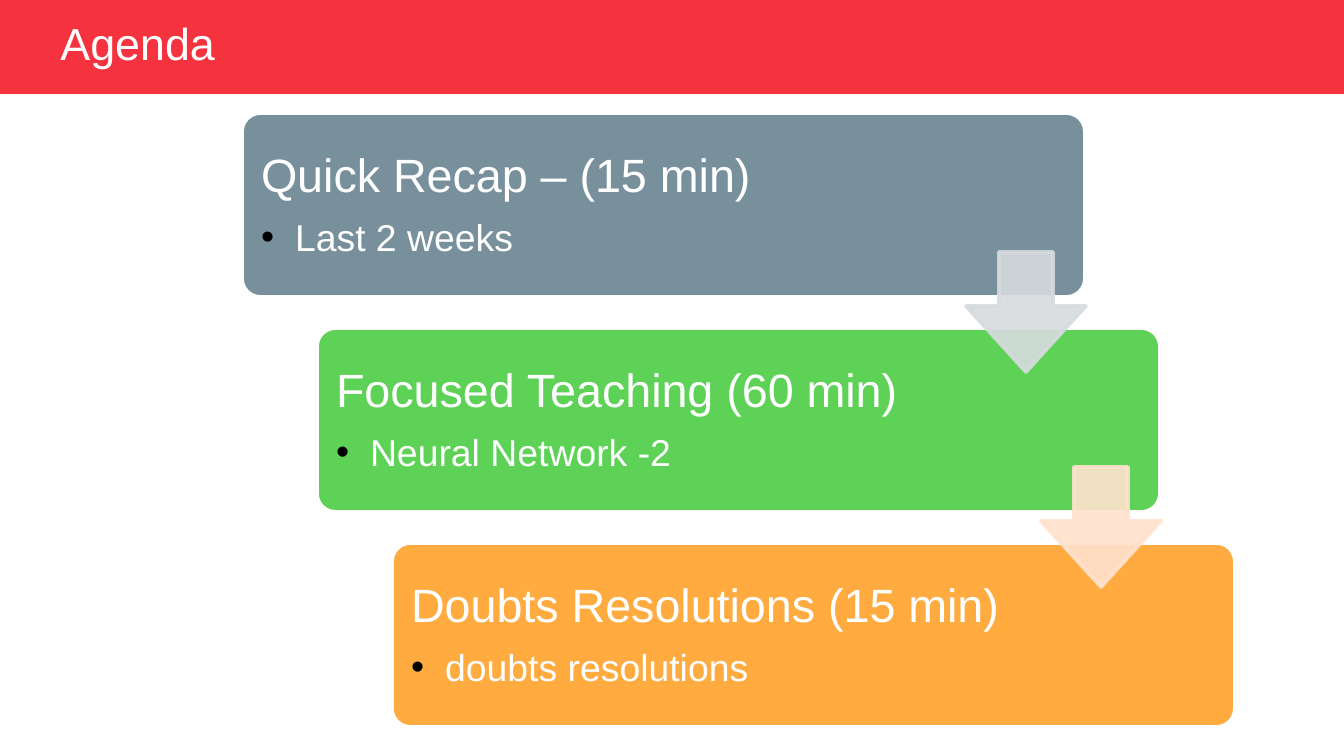
from dataclasses import dataclass
from lxml.etree import SubElement
from pptx import Presentation
from pptx.dml.color import RGBColor
from pptx.enum.shapes import MSO_SHAPE
from pptx.enum.text import MSO_ANCHOR, MSO_AUTO_SIZE, PP_ALIGN
from pptx.oxml.ns import qn
from pptx.util import Emu, Pt

PX = 914400 / 134.4
WHITE = "FFFFFF"
STEP_X, STEP_Y = 75, 215
FRAME = dict(word_wrap=True, auto_size=MSO_AUTO_SIZE.NONE, vertical_anchor=MSO_ANCHOR.MIDDLE)


@dataclass(frozen=True)
class Stage:
    heading: str
    detail: str
    fill: str


@dataclass(frozen=True)
class Box:
    x: int
    y: int
    w: int
    h: int

    def step(self, i: int) -> "Box":
        return Box(self.x + i * STEP_X, self.y + i * STEP_Y, self.w, self.h)

    def emu(self) -> list[Emu]:
        return [px(v) for v in (self.x, self.y, self.w, self.h)]


STAGES = [
    Stage("Quick Recap – (15 min)", "Last 2 weeks", "78909C"),
    Stage("Focused Teaching (60 min)", "Neural Network -2", "5ED257"),
    Stage("Doubts Resolutions (15 min)", "doubts resolutions", "FFAB40"),
]
ARROW_COLOURS = ["D6DBDE", "FFE2CE"]
BANNER = Box(0, 0, 1344, 94)
TITLE = Box(47, 17, 1118, 57)
CARD = Box(242, 113, 843, 184)
LABEL = Box(248, 119, 640, 173)
ARROW = Box(966, 252, 120, 120)


def px(n: int) -> Emu:
    return Emu(round(n * PX))


def rgb(value: str) -> RGBColor:
    return RGBColor.from_string(value)


def apply(obj, values: dict) -> None:
    for name, value in values.items():
        setattr(obj, name, value)


def add_block(s, kind, box: Box, fill: str, line: str = "", adj=(), alpha: int = 100):
    sp = s.shapes.add_shape(kind, *box.emu())
    sp.shadow.inherit = False
    for i, value in enumerate(adj):
        sp.adjustments[i] = value
    sp.fill.solid()
    sp.fill.fore_color.rgb = rgb(fill)
    if line:
        sp.line.color.rgb = rgb(line)
        sp.line.width = Pt(2)
    else:
        sp.line.fill.background()
    if alpha < 100:
        for clr in sp._element.spPr.iter(qn("a:srgbClr")):
            SubElement(clr, qn("a:alpha"), val=str(alpha * 1000))
    return sp


def write(p, text: str, size: int, after: int = 0) -> None:
    apply(p, dict(alignment=PP_ALIGN.LEFT, line_spacing=0.9, space_before=Pt(0), space_after=Pt(after)))
    r = p.add_run()
    r.text = text
    apply(r.font, dict(name="Arial", size=Pt(size)))
    r.font.color.rgb = rgb(WHITE)


def add_bullet(p) -> None:
    p.level = 1
    pPr = p._p.get_or_add_pPr()
    pPr.set("marL", str(px(34)))
    pPr.set("indent", str(px(-34)))
    SubElement(SubElement(pPr, qn("a:buClr")), qn("a:srgbClr"), val="000000")
    SubElement(pPr, qn("a:buFont"), typeface="Arial")
    SubElement(pPr, qn("a:buChar"), char="•")


def add_label(s, box: Box, stage: Stage) -> None:
    tf = s.shapes.add_textbox(*box.emu()).text_frame
    inset = px(13)
    apply(tf, FRAME | dict(margin_left=inset, margin_right=inset, margin_top=inset, margin_bottom=inset))
    write(tf.paragraphs[0], stage.heading, 25, 9)
    p = tf.add_paragraph()
    write(p, stage.detail, 20, 3)
    add_bullet(p)


def add_title(s, text: str) -> None:
    banner = add_block(s, MSO_SHAPE.RECTANGLE, BANNER, "F5333F")
    title = s.shapes.title
    title._element.addprevious(banner._element)
    apply(title, dict(zip(("left", "top", "width", "height"), TITLE.emu())))
    apply(title.text_frame, FRAME)
    write(title.text_frame.paragraphs[0], text, 24)


def main() -> None:
    prs = Presentation()
    apply(prs, dict(slide_width=px(1344), slide_height=px(756)))
    s = prs.slides.add_slide(prs.slide_layouts[5])
    add_title(s, "Agenda")
    for i, stage in enumerate(STAGES):
        add_block(s, MSO_SHAPE.ROUNDED_RECTANGLE, CARD.step(i), stage.fill, WHITE, (0.1,))
        add_label(s, LABEL.step(i), stage)
    for i, colour in enumerate(ARROW_COLOURS):
        add_block(s, MSO_SHAPE.DOWN_ARROW, ARROW.step(i), colour, colour, (0.45, 0.55), 90)
    prs.save("out.pptx")


if __name__ == "__main__":
    main()
